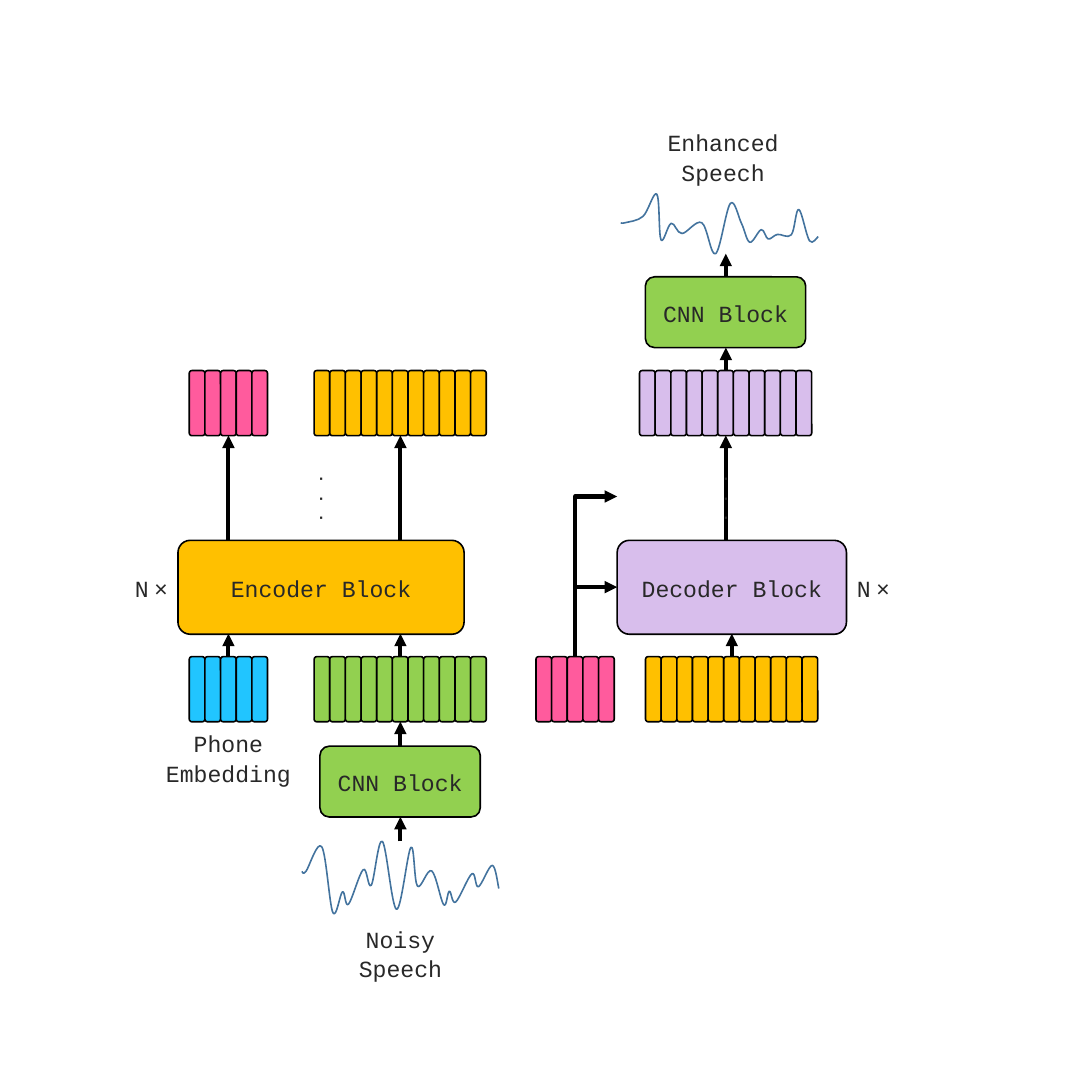
"""Draw the encoder and decoder diagram for speech enhancement."""
import itertools
import pptx
import pptx.util
import pptx.dml.color
import pptx.enum.shapes
import pptx.enum.text
import pptx.oxml
import pptx.oxml.ns
import lxml.etree

Cm, Pt = pptx.util.Cm, pptx.util.Pt
Kind = pptx.enum.shapes.MSO_SHAPE
Link = pptx.enum.shapes.MSO_CONNECTOR
qn = pptx.oxml.ns.qn

HUES = {"blue": "21C5FF", "pink": "FF5B9D", "gold": "FFC000", "green": "92D050",
        "lilac": "D8BEEC", "wave": "43739E", "ink": "282828", "black": "000000"}
FONT = "Courier New"
LOW, HIGH = 36.08, 20.36
BAR, TALL = 0.86, 3.58

STRIPS = [(10.4, LOW, 5, "blue"), (17.26, LOW, 11, "green"),
          (29.45, LOW, 5, "pink"), (35.47, LOW, 11, "gold"),
          (10.4, HIGH, 5, "pink"), (17.26, HIGH, 11, "gold"),
          (35.14, HIGH, 11, "lilac")]
BLOCKS = [("Encoder Block", 9.78, 29.69, 15.72, 5.16, "gold"),
          ("Decoder Block", 33.91, 29.69, 12.6, 5.16, "lilac"),
          ("CNN Block", 17.58, 41, 8.81, 3.89, "green"),
          ("CNN Block", 35.46, 15.21, 8.81, 3.89, "green")]
LABELS = [("Phone\nEmbedding", 8.51, 39.98, 8.08), ("Noisy\nSpeech", 17.96, 50.72, 8.08),
          ("Enhanced\nSpeech", 35.69, 6.96, 8.08)]
TIMES = [(6.83, 30.63), (46.51, 30.63)]
DOTS = [(11.86, 11.58), (33.91, 11.96)]
ARROWS = {12.55: [(36.09, 34.82), (29.69, 23.93)],
          22: [(46.23, 44.88), (41, 39.65), (36.09, 34.82), (29.69, 23.93)],
          39.88: [(29.69, 23.93), (20.36, 19.1), (15.21, 13.94)],
          40.21: [(36.09, 34.82)]}
BENDS = [(31.6, 36.09, 33.91, 32.26), (31.6, 36.09, 33.91, 27.28)]
NOISY = [(16.59, 47.88), (16.81, 47.88), (17.68, 46.53), (18.29, 50.14), (18.82, 49),
         (19.15, 49.68), (19.96, 47.78), (20.4, 48.64), (21.01, 46.23), (21.79, 49.96),
         (22.58, 46.56), (22.94, 48.69), (23.72, 47.85), (24.38, 49.71), (24.69, 48.97),
         (25.04, 49.56), (25.93, 48.01), (26.29, 48.72), (27.05, 47.55), (27.41, 48.82)]
CLEAN = [(34.11, 12.24), (34.34, 12.24), (35.33, 11.89), (36.09, 10.67), (36.32, 13.18),
         (36.88, 12.27), (37.47, 12.83), (38.56, 12.24), (39.32, 13.94), (40.13, 11.18),
         (40.74, 12.27), (41.2, 13.31), (41.83, 12.62), (42.21, 13.13), (42.72, 12.88),
         (43.48, 12.9), (43.89, 11.51), (44.48, 13.23), (44.96, 13)]

deck = pptx.Presentation()
deck.slide_width = deck.slide_height = Cm(60)
slide = deck.slides.add_slide(deck.slide_layouts[6])
shapes = slide.shapes


def hue(name):
    return pptx.dml.color.RGBColor.from_string(HUES[name])


def stroke(line, name="black", width=2.5):
    line.color.rgb = hue(name)
    line.width = Pt(width)


def write(shape, text, size=36, bold=False, gap=None):
    frame = shape.text_frame
    frame.word_wrap = True
    frame.vertical_anchor = pptx.enum.text.MSO_ANCHOR.MIDDLE
    for num, row in enumerate(text.split("\n")):
        para = frame.add_paragraph() if num else frame.paragraphs[0]
        para.alignment = pptx.enum.text.PP_ALIGN.CENTER
        para.line_spacing = 1.07
        for part in [row] if gap is None else row.partition(" "):
            run = para.add_run()
            run.text = part
            run.font.name = FONT
            run.font.size = Pt(gap if part == " " else size)
            run.font.bold = bold
            run.font.color.rgb = hue("ink")


def label(text, x, y, w, h=3.25, **style):
    write(shapes.add_textbox(Cm(x), Cm(y), Cm(w), Cm(h)), text, **style)


def box(x, y, w, h, fill, bend=0.17):
    shape = shapes.add_shape(Kind.ROUNDED_RECTANGLE, Cm(x), Cm(y), Cm(w), Cm(h))
    shape.adjustments[0] = bend
    shape.shadow.inherit = False
    shape.fill.solid()
    shape.fill.fore_color.rgb = hue(fill)
    stroke(shape.line)
    return shape


def arrow(x1, y1, x2, y2, kind=Link.STRAIGHT):
    link = shapes.add_connector(kind, Cm(x1), Cm(y1), Cm(x2), Cm(y2))
    stroke(link.line, width=6.5)
    lxml.etree.SubElement(link.line._get_or_add_ln(), qn("a:tailEnd"), type="triangle")
    lxml.etree.SubElement(link._element.spPr, qn("a:effectLst"))
    return link


def elbow(x1, y1, x2, y2):
    midx, midy = (x1 + x2) / 2, (y1 + y2) / 2
    dx, dy = (y1 - y2) / 2, (x2 - x1) / 2
    link = arrow(midx + dx, midy + dy, midx - dx, midy - dy, Link.ELBOW)
    props = link._element.spPr
    props.find(qn("a:xfrm")).set("rot", str(90 * 60000))
    props.find(qn("a:prstGeom")).set("prst", "bentConnector2")


def wave(knots):
    pts = [(Cm(x), Cm(y)) for x, y in knots]
    pen = shapes.build_freeform(*pts[0], scale=1.0)
    pen.add_line_segments(pts[1:], close=False)
    shape = pen.convert_to_shape()
    shape.shadow.inherit = False
    shape.fill.background()
    stroke(shape.line, "wave")
    ends = pts[:1] + pts + pts[-1:]
    slopes = [((c[0] - a[0]) / 6, (c[1] - a[1]) / 6) for a, c in zip(ends, ends[2:])]
    left, top = min(x for x, y in pts), min(y for x, y in pts)
    steps = list(shape._element.iter(qn("a:lnTo")))
    for step, (a, b), (s, t) in zip(steps, itertools.pairwise(pts), itertools.pairwise(slopes)):
        step.tag = qn("a:cubicBezTo")
        step.remove(step[0])
        for x, y in [(a[0] + s[0], a[1] + s[1]), (b[0] - t[0], b[1] - t[1]), b]:
            lxml.etree.SubElement(step, qn("a:pt"), x=str(round(x - left)), y=str(round(y - top)))


for x, y, count, fill in STRIPS:
    for num in range(count):
        box(x + num * BAR, y, BAR, TALL, fill)
for x, spans in ARROWS.items():
    for start, end in spans:
        arrow(x, start, x, end)
for bend in BENDS:
    elbow(*bend)
for text, x, y, w, h, fill in BLOCKS:
    write(box(x, y, w, h, fill, bend=0.13), text)
for item in LABELS:
    label(*item)
for x, y in TIMES:
    label("N ×", x, y, 2.97, gap=14)
for x, w in DOTS:
    label("·\n·\n·", x, 25.55, w, 3.45, size=24, bold=True)
for knots in (NOISY, CLEAN):
    wave(knots)

deck.save("out.pptx")
